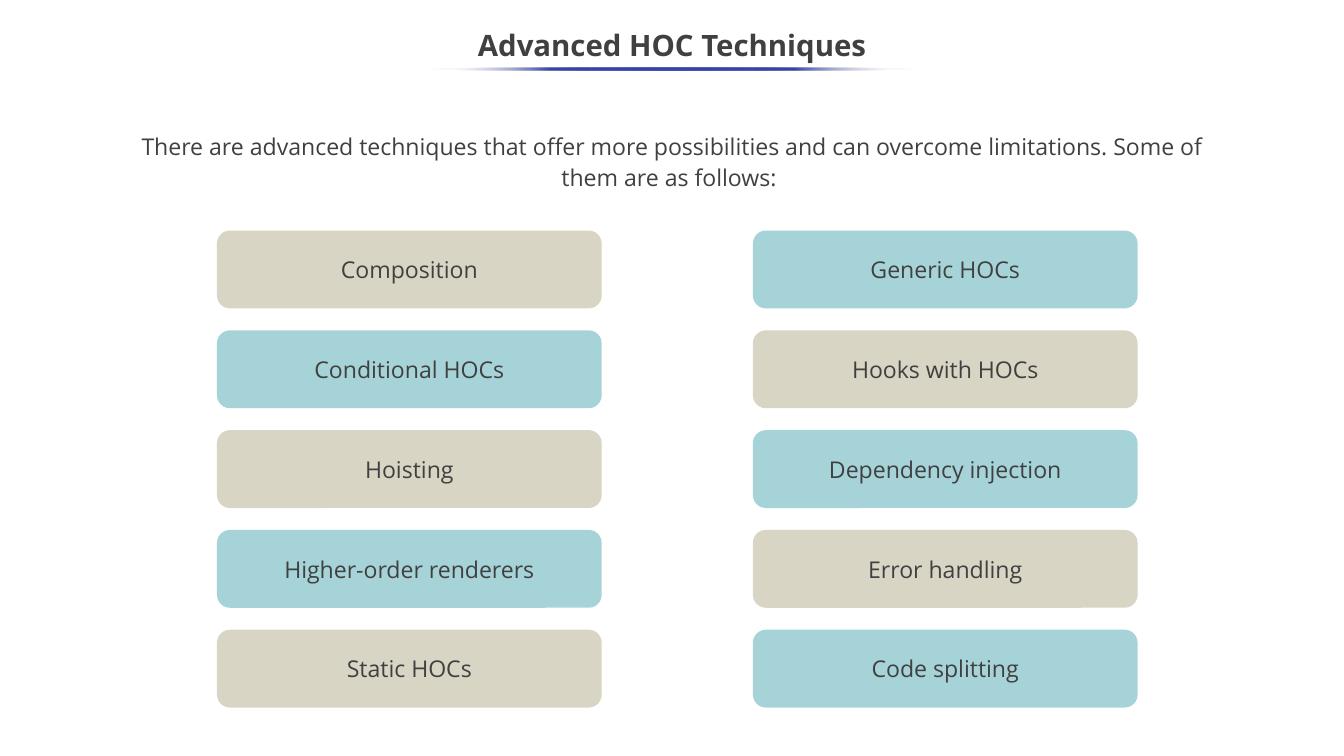
from dataclasses import dataclass

from lxml.etree import SubElement
from pptx import Presentation
from pptx.dml.color import RGBColor
from pptx.enum.shapes import MSO_SHAPE
from pptx.enum.text import MSO_ANCHOR, MSO_AUTO_SIZE, PP_ALIGN
from pptx.oxml.ns import qn
from pptx.shapes.autoshape import Shape
from pptx.slide import Slide
from pptx.util import Inches, Pt


@dataclass(frozen=True)
class Theme:
    font: str = "Open Sans"
    ink: str = "404040"
    sand: str = "D8D5C4"
    aqua: str = "A6D3D8"
    rule: str = "3645A9"
    clear: str = "FFFFFF"
    head: int = 28
    text: int = 22


@dataclass(frozen=True)
class Grid:
    """Card grid in inches: origin, step between cards and card size."""
    left: float = 2.87
    top: float = 3.05
    across: float = 7.09
    down: float = 1.32
    width: float = 5.09
    height: float = 1.03


@dataclass(frozen=True)
class Card:
    label: str
    col: int
    row: int


THEME = Theme()
GRID = Grid()
WIDTH, HEIGHT = 17.78, 10

TITLE = "Advanced HOC Techniques"
INTRO = ("There are advanced techniques that offer more possibilities "
         "and can overcome limitations. Some of them are as follows: ")
COLUMNS = (
    ("Composition", "Conditional HOCs", "Hoisting",
     "Higher-order renderers", "Static HOCs"),
    ("Generic HOCs", "Hooks with HOCs", "Dependency injection",
     "Error handling", "Code splitting"),
)


def write(shape: Shape, text: str, *, size: int = THEME.text,
          bold: bool = False, leading: float = 1.0, inset: float = 0.05,
          anchor: MSO_ANCHOR = MSO_ANCHOR.MIDDLE) -> None:
    frame = shape.text_frame
    frame.word_wrap = True
    frame.auto_size = MSO_AUTO_SIZE.NONE
    frame.vertical_anchor = anchor
    frame.margin_left = frame.margin_right = Inches(0.1)
    frame.margin_top = frame.margin_bottom = Inches(inset)
    frame.text = text
    para = frame.paragraphs[0]
    if shape.is_placeholder:
        props = para._p.get_or_add_pPr()
        props.set("marL", "0")
        props.set("indent", "0")
        SubElement(props, qn("a:buNone"))
    para.alignment = PP_ALIGN.CENTER
    para.line_spacing = leading
    para.space_before = Pt(0)
    font = para.runs[0].font
    font.name, font.size, font.bold = THEME.font, Pt(size), bold
    font.color.rgb = RGBColor.from_string(THEME.ink)


def place(shape: Shape, left: float, top: float,
          width: float, height: float) -> None:
    shape.left, shape.top = Inches(left), Inches(top)
    shape.width, shape.height = Inches(width), Inches(height)


def add_form(slide: Slide, kind: MSO_SHAPE, *box: float) -> Shape:
    shape = slide.shapes.add_shape(kind, *(Inches(side) for side in box))
    shape.shadow.inherit = False
    shape.line.fill.background()
    return shape


def draw_rule(slide: Slide) -> None:
    """Draw the title rule, fading out at both ends."""
    rule = add_form(slide, MSO_SHAPE.OVAL, 5.68, 0.89, 6.42, 0.04)
    rule.fill.gradient()
    rule.fill.gradient_angle = 180
    stops = next(rule.element.iter(qn("a:gsLst")))
    for stop in list(stops):
        stops.remove(stop)
    for share in range(0, 101, 25):
        end = share in (0, 100)
        stop = SubElement(stops, qn("a:gs"), pos=str(share * 1000))
        color = SubElement(stop, qn("a:srgbClr"),
                           val=THEME.clear if end else THEME.rule)
        if end:
            SubElement(color, qn("a:alpha"), val="0")


def draw_card(slide: Slide, card: Card) -> None:
    shape = add_form(slide, MSO_SHAPE.ROUNDED_RECTANGLE,
                     GRID.left + card.col * GRID.across,
                     GRID.top + card.row * GRID.down,
                     GRID.width, GRID.height)
    odd = (card.col + card.row) % 2
    shape.fill.solid()
    shape.fill.fore_color.rgb = RGBColor.from_string(
        THEME.aqua if odd else THEME.sand)
    write(shape, card.label)


def main() -> None:
    deck = Presentation()
    deck.slide_width, deck.slide_height = Inches(WIDTH), Inches(HEIGHT)
    slide = deck.slides.add_slide(deck.slide_layouts[1])

    title, body = slide.shapes.title, slide.placeholders[1]
    place(title, 0, 0.25, WIDTH, 0.75)
    write(title, TITLE, size=THEME.head, bold=True, leading=0.9)
    place(body, 1.47, 1.69, WIDTH - 2 * 1.47, 0.99)
    write(body, INTRO, leading=1.15, inset=0, anchor=MSO_ANCHOR.TOP)

    draw_rule(slide)
    for col, labels in enumerate(COLUMNS):
        for row, label in enumerate(labels):
            draw_card(slide, Card(label, col, row))
    deck.save("out.pptx")


if __name__ == "__main__":
    main()
